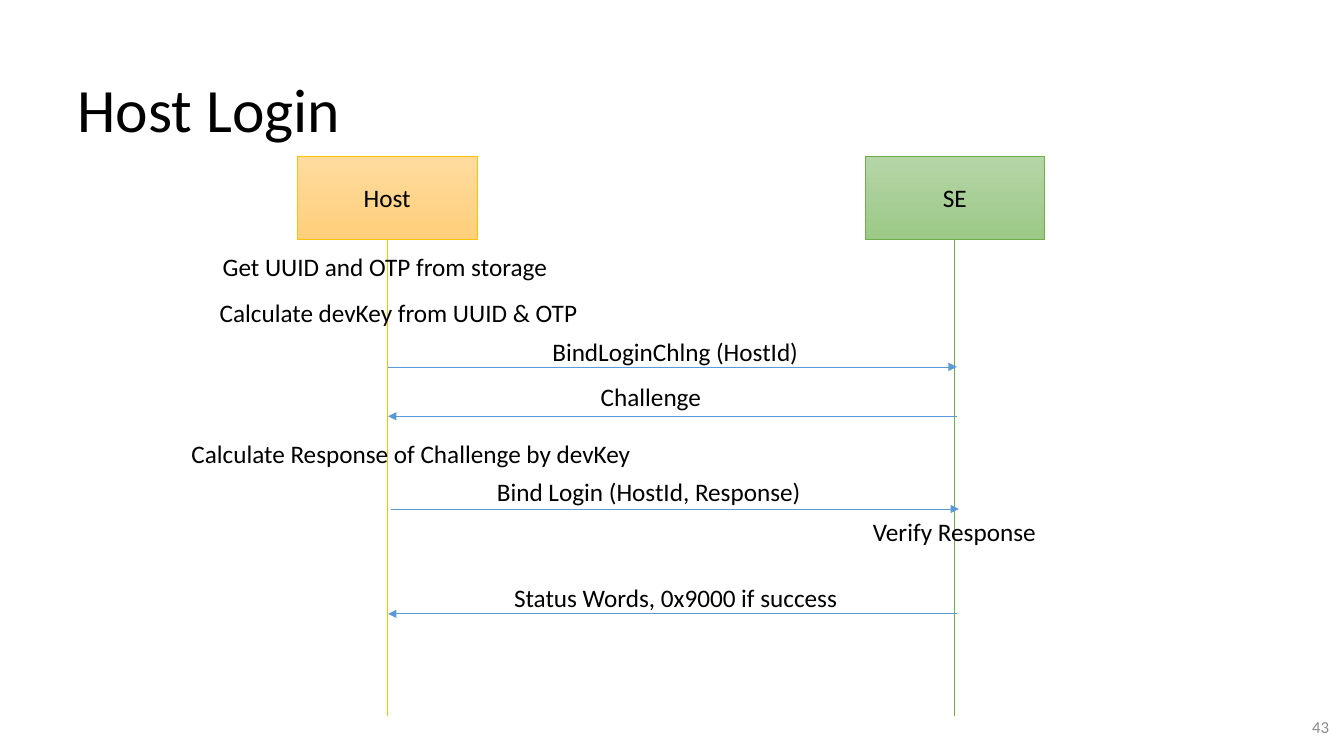
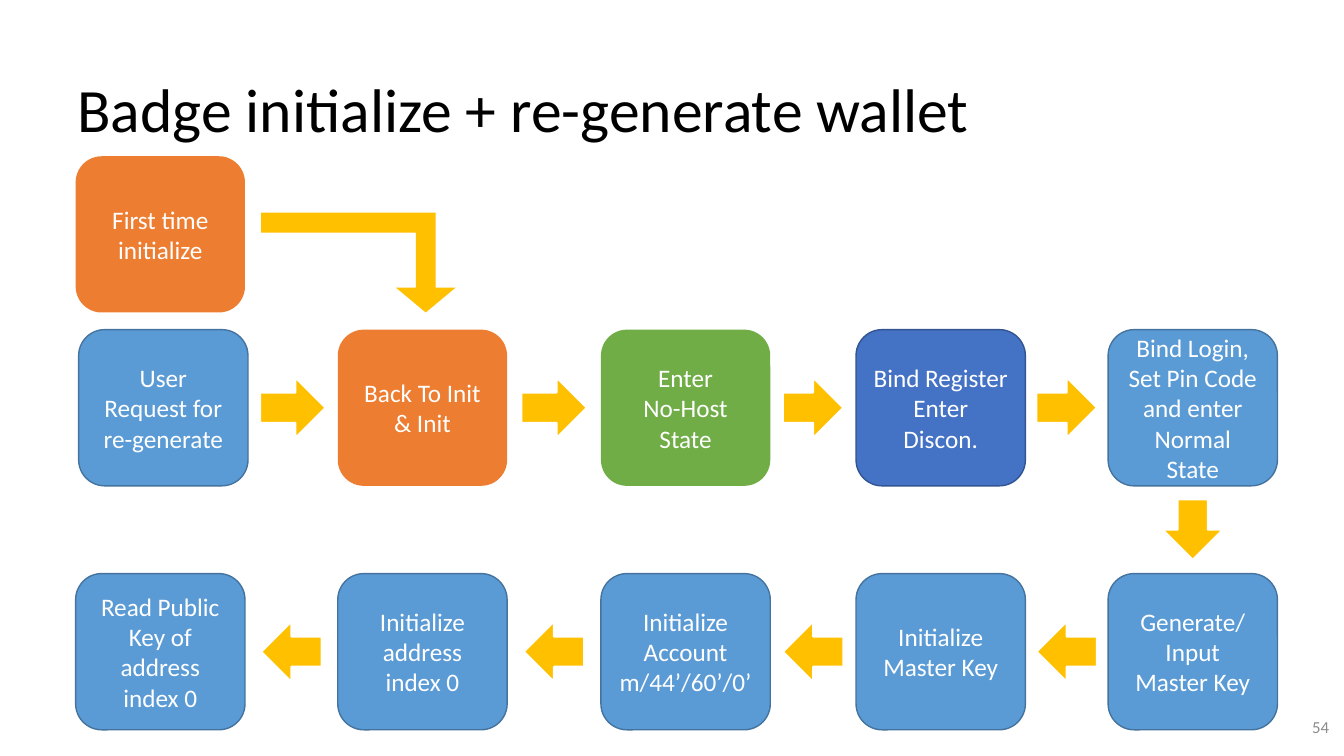
from pptx import Presentation
from pptx.dml.color import RGBColor
from pptx.enum.shapes import MSO_CONNECTOR, MSO_SHAPE
from pptx.enum.text import MSO_ANCHOR, MSO_AUTO_SIZE, PP_ALIGN
from pptx.oxml.ns import qn
from pptx.util import Inches, Pt
from lxml.etree import SubElement

# Grid: twelve one-inch columns inside the margins, fifteen half-inch rows
MARGIN, COL, ROW = 0.67, 1, 0.5
SLIDE_W, SLIDE_H = 2 * MARGIN + 12 * COL - 0.01, 15 * ROW

FONT = "Calibri"
BLACK = RGBColor(0x00, 0x00, 0x00)
WHITE = RGBColor(0xFF, 0xFF, 0xFF)
GRAY = RGBColor(0x8C, 0x8C, 0x8C)
GOLD = RGBColor(0xFF, 0xC0, 0x00)
ORANGE = RGBColor(0xED, 0x7D, 0x31)
GREEN = RGBColor(0x70, 0xAD, 0x47)
BLUE = RGBColor(0x5B, 0x9B, 0xD5)
BLUE_EDGE = RGBColor(0x43, 0x73, 0x9E)
INDIGO = RGBColor(0x44, 0x72, 0xC4)
INDIGO_EDGE = RGBColor(0x32, 0x54, 0x91)
HOST_SHADES = RGBColor(0xFF, 0xDB, 0x9E), RGBColor(0xFF, 0xD0, 0x7C)
SE_SHADES = RGBColor(0xB5, 0xD5, 0xA7), RGBColor(0x9C, 0xC9, 0x87)

TITLE = {"name": FONT, "size": Pt(44), "color": BLACK}
BODY = {"name": FONT, "size": Pt(18), "color": BLACK}
STEP = {**BODY, "color": WHITE}
PAGE = {"name": FONT, "size": Pt(12), "color": GRAY}
LABEL_FRAME = {"word_wrap": False, "auto_size": MSO_AUTO_SIZE.SHAPE_TO_FIT_TEXT}
EVEN_INSETS = {"margin_" + side: Inches(0.1)
               for side in ("left", "top", "right", "bottom")}

# Sequence diagram
HEAD_W, HEAD_ROW, HEAD_ROWS, LIFE_END = 1.78, 3.1, 1.64, 14.2
HOST_LANE, SE_LANE = 3.17, 8.8

# Flow diagram
STEP_COLS = [0.08, 2.68, 5.29, 7.82, 10.32]
STEP_W, STEP_ROWS = 1.68, 3.1
START_ROW, UPPER_ROW, LOWER_ROW = 3.1, 6.54, 11.38
ARROW = 0.6


def x_at(col):
    return Inches(MARGIN + col * COL)


def y_at(row):
    return Inches(row * ROW)


def place(col, row, cols, rows):
    return x_at(col), y_at(row), Inches(cols * COL), Inches(rows * ROW)


def set_attrs(obj, values):
    for name, value in values.items():
        setattr(obj, name, value)


def write(tf, text, font, frame, para):
    """Fill a text frame, one paragraph for each line of text."""
    set_attrs(tf, frame)
    for i, line in enumerate(text.split("\n")):
        p = tf.paragraphs[0] if i == 0 else tf.add_paragraph()
        set_attrs(p, para)
        r = p.add_run()
        r.text = line
        for name, value in font.items():
            if name == "color":
                r.font.color.rgb = value
            else:
                setattr(r.font, name, value)


def add_text(s, text, area, font=BODY, frame=LABEL_FRAME, align=PP_ALIGN.LEFT, **para):
    tb = s.shapes.add_textbox(*place(*area))
    write(tb.text_frame, text, font, frame, {"alignment": align, **para})


def add_box(s, kind, area, fill, edge=None, width=1, text="", font=STEP):
    """Add a shape; a pair of fill colours makes a top-down gradient."""
    sp = s.shapes.add_shape(kind, *place(*area))
    sp.shadow.inherit = False
    if isinstance(fill, RGBColor):
        sp.fill.solid()
        sp.fill.fore_color.rgb = fill
    else:
        sp.fill.gradient()
        sp.fill.gradient_angle = 270
        for stop, shade in zip(sp.fill.gradient_stops, fill):
            stop.color.rgb = shade
    if edge is None:
        sp.line.fill.background()
    else:
        sp.line.color.rgb = edge
        sp.line.width = Pt(width)
    if text:
        write(sp.text_frame, text, font,
              {"word_wrap": True, "vertical_anchor": MSO_ANCHOR.MIDDLE},
              {"alignment": PP_ALIGN.CENTER})
    return sp


def add_line(s, start, end, color, arrow=False):
    line = s.shapes.add_connector(
        MSO_CONNECTOR.STRAIGHT, x_at(start[0]), y_at(start[1]), x_at(end[0]), y_at(end[1]))
    line.line.color.rgb = color
    line.line.width = Pt(0.5)
    if arrow:
        SubElement(line.line._get_or_add_ln(), qn("a:tailEnd"), type="triangle")
    SubElement(line.element.spPr, qn("a:effectLst"))
    return line


def add_slide(prs, title, page):
    s = prs.slides.add_slide(prs.slide_layouts[6])
    add_text(s, title, (0, 0.6, 12, 2.5), TITLE,
             {**EVEN_INSETS, "word_wrap": True, "vertical_anchor": MSO_ANCHOR.BOTTOM},
             line_spacing=0.9)
    add_text(s, page, (11.81, 13.86, 0.8, 1.14), PAGE,
             {**EVEN_INSETS, "word_wrap": True, "vertical_anchor": MSO_ANCHOR.MIDDLE},
             PP_ALIGN.RIGHT)
    return s


def add_lifeline(s, name, lane, shades, color):
    head = add_box(s, MSO_SHAPE.RECTANGLE,
                   (lane - HEAD_W / 2, HEAD_ROW, HEAD_W, HEAD_ROWS),
                   shades, color, 0.5, name, BODY)
    life = add_line(s, (lane, HEAD_ROW + HEAD_ROWS), (lane, LIFE_END), color)
    life.begin_connect(head, 2)


def add_block_arrow(s, center, row, width=ARROW, turn=0):
    rows = ARROW / ROW
    sp = add_box(s, MSO_SHAPE.RIGHT_ARROW, (center - width / 2, row - rows / 2, width, rows),
                 GOLD, WHITE, 1.5)
    sp.rotation = turn


def add_step(s, col, row, text, fill=BLUE, edge=BLUE_EDGE):
    add_box(s, MSO_SHAPE.ROUNDED_RECTANGLE, (col, row, STEP_W, STEP_ROWS),
            fill, edge, text=text)


def login_slide(prs):
    s = add_slide(prs, "Host Login", "43")
    add_lifeline(s, "Host", HOST_LANE, HOST_SHADES, GOLD)
    add_lifeline(s, "SE", SE_LANE, SE_SHADES, GREEN)

    left, right = HOST_LANE + 0.01, SE_LANE + 0.02
    for row, start, end in [
        (7.28, left, right),
        (8.26, right, left),
        (10.1, left + 0.03, right + 0.02),
        (12.18, right, left),
    ]:
        add_line(s, (start, row), (end, row), BLUE, arrow=True)

    for text, col, row, cols in [
        ("Get UUID and OTP from storage", 1.44, 4.88, 3.45),
        ("Calculate devKey from UUID & OTP", 1.41, 5.8, 3.79),
        ("BindLoginChlng (HostId)", 4.71, 6.58, 2.67),
        ("Challenge", 5.19, 7.46, 1.21),
        ("Calculate Response of Challenge by devKey", 1.13, 8.6, 4.61),
        ("Bind Login (HostId, Response)", 4.16, 9.36, 3.25),
        ("Verify Response", 7.89, 10.14, 1.84),
        ("Status Words, 0x9000 if success", 4.33, 11.46, 3.44),
    ]:
        add_text(s, text, (col, row, cols, 0.8))


def wallet_slide(prs):
    s = add_slide(prs, "Badge initialize + re-generate wallet", "54")
    add_step(s, STEP_COLS[0], START_ROW, "First time initialize", ORANGE, None)
    bend = add_box(s, MSO_SHAPE.BENT_UP_ARROW, (1.92, 4.22, 1.93, 1.98), GOLD)
    bend.element.spPr.get_or_add_xfrm().set("flipV", "1")
    for i, value in enumerate((0.2, 0.3, 0.25)):
        bend.adjustments[i] = value

    upper = [
        ("User Request for re-generate", BLUE, BLUE_EDGE),
        ("Back To Init & Init", ORANGE, None),
        ("Enter\nNo-Host State", GREEN, None),
        ("Bind Register\nEnter Discon.", INDIGO, INDIGO_EDGE),
        ("Bind Login, Set Pin Code and enter\nNormal State", BLUE, BLUE_EDGE),
    ]
    upper_cols = [STEP_COLS[0] + 0.03] + STEP_COLS[1:]
    for col, (text, fill, edge) in zip(upper_cols, upper):
        add_step(s, col, UPPER_ROW, text, fill, edge)

    lower = [
        "Read Public Key of address index 0",
        "Initialize address index 0",
        "Initialize Account\nm/44’/60’/0’",
        "Initialize Master Key",
        "Generate/\nInput\nMaster Key",
    ]
    for col, text in zip(STEP_COLS, lower):
        add_step(s, col, LOWER_ROW, text)

    # Each arrow sits in the middle of the gap between two steps
    half = STEP_ROWS / 2
    for cols, row, turn, widths in [
        (upper_cols, UPPER_ROW, 0, (0.65, 0.65, ARROW, ARROW)),
        (STEP_COLS, LOWER_ROW, 180, (ARROW,) * 4),
    ]:
        for col, following, width in zip(cols, cols[1:], widths):
            add_block_arrow(s, (col + STEP_W + following) / 2, row + half, width, turn)
    add_block_arrow(s, STEP_COLS[-1] + STEP_W / 2,
                    (UPPER_ROW + STEP_ROWS + LOWER_ROW) / 2, turn=90)


def main():
    prs = Presentation()
    prs.slide_width, prs.slide_height = Inches(SLIDE_W), Inches(SLIDE_H)
    login_slide(prs)
    wallet_slide(prs)
    prs.save("out.pptx")


if __name__ == "__main__":
    main()
